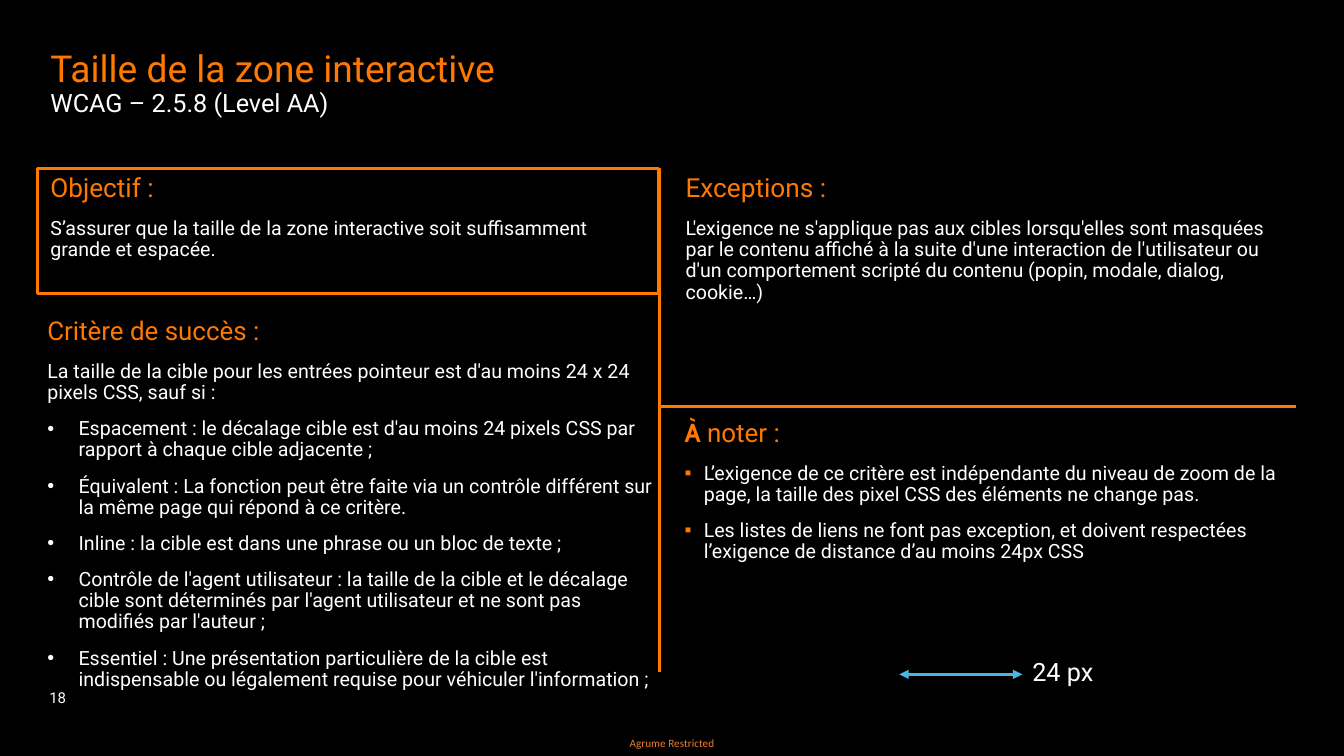
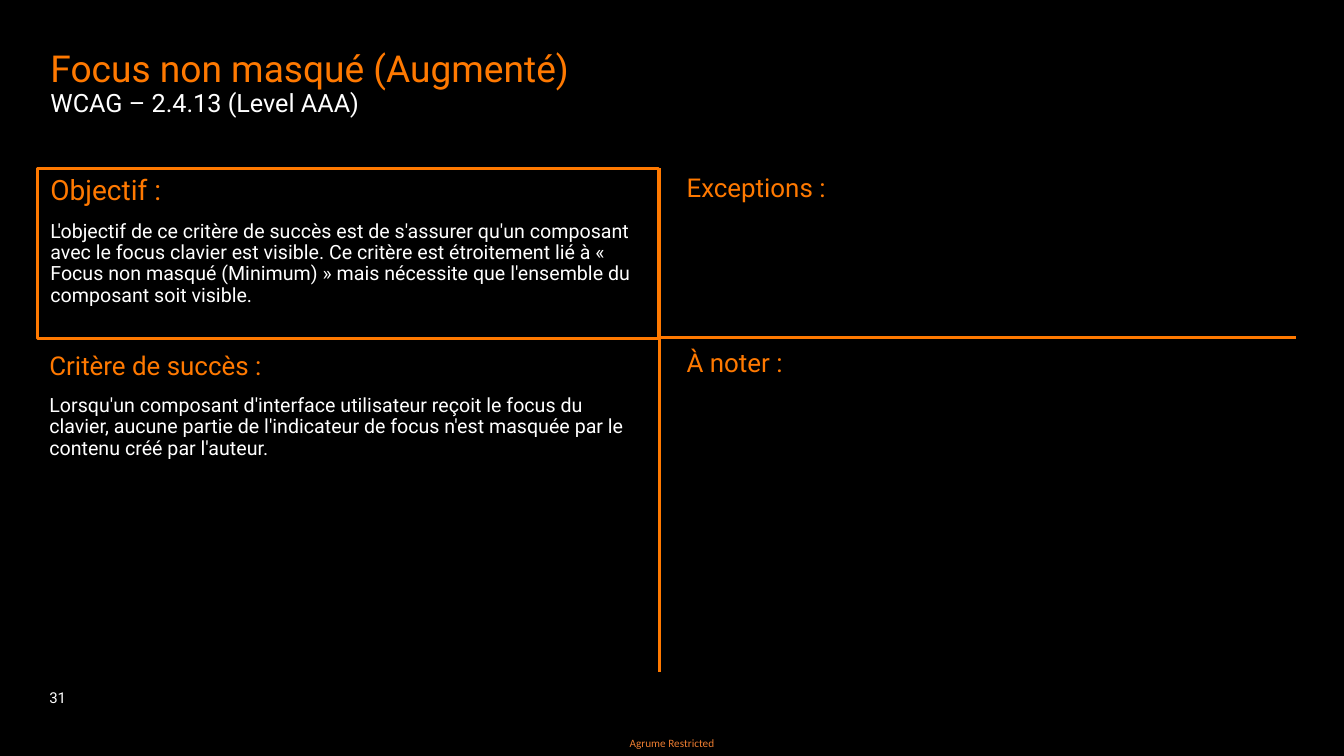
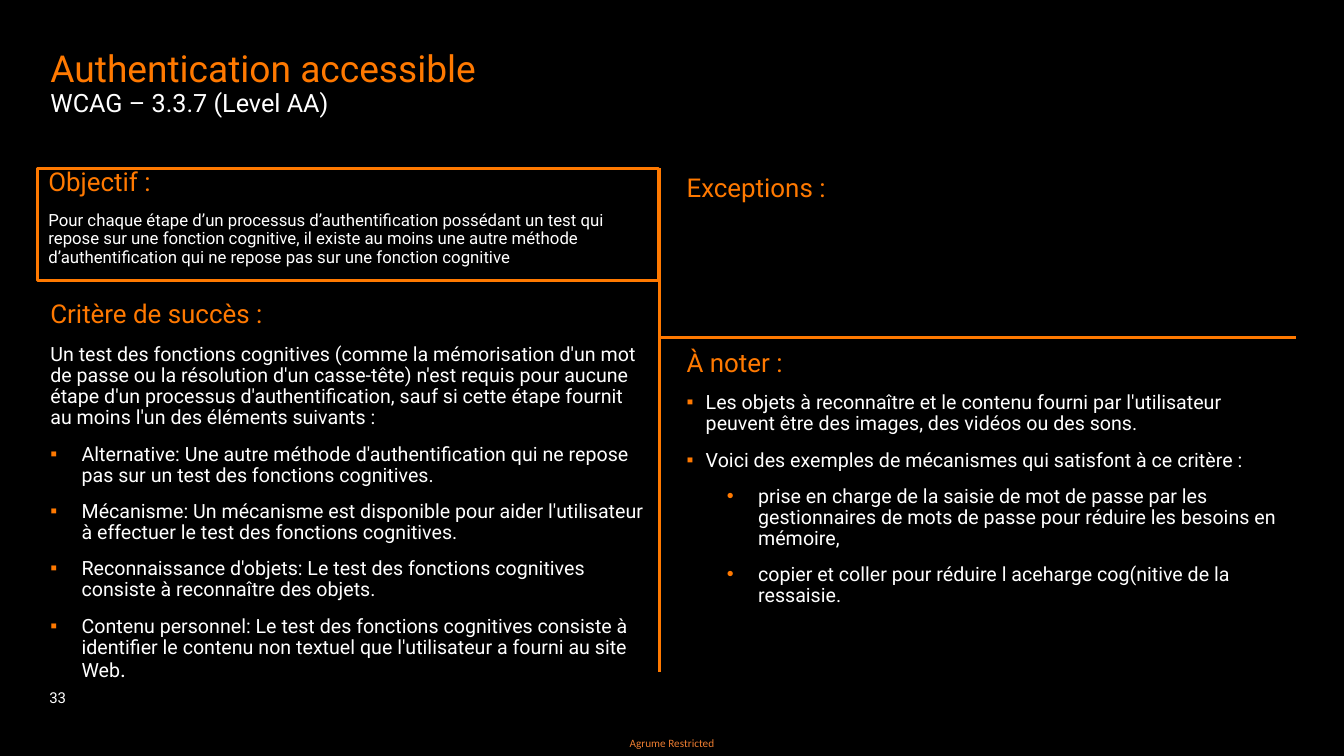
"""Build three slides that present accessibility criteria."""
from dataclasses import dataclass

from lxml.etree import SubElement
from pptx import Presentation
from pptx.dml.color import RGBColor
from pptx.enum.shapes import MSO_CONNECTOR, MSO_SHAPE
from pptx.enum.text import MSO_ANCHOR, MSO_AUTO_SIZE, PP_ALIGN
from pptx.oxml.ns import qn
from pptx.util import Inches, Pt


@dataclass(frozen=True)
class Theme:
    background: str = "000000"
    accent: str = "FF7900"
    text: str = "FFFFFF"
    arrow: str = "4BB4E6"
    footer: str = "ED7D31"
    font: str = "Roboto"
    footer_font: str = "Calibri"
    initial_font: str = "Cabin"
    title: float = 26.5
    subtitle: float = 18
    heading: float = 18.5
    heading_medium: float = 18.7
    heading_large: float = 20
    body: float = 14
    body_small: float = 12
    body_large: float = 16
    number: float = 10.7
    footer_size: float = 8
    space_after: float = 10.7
    line: float = 2.25


theme = Theme()

bullets = {
    "dot": ("•", 0.31, 0.31, theme.text),
    "square": ("▪", 0.19, 0.19, theme.accent),
    "wide square": ("▪", 0.31, 0.31, theme.accent),
    "sub": ("•", 0.71, 0.31, theme.accent),
}

criteria = [
    {
        "title": "Taille de la zone interactive",
        "subtitle": "WCAG – 2.5.8 (Level AA)",
        "number": "18",
        "frame_height": 1.24,
        "divider": 4.03,
        "panels": [
            (0.5, 1.74, 5.93, 1.3, [
                ("heading", [("Objectif :", theme.heading_medium)]),
                ("plain", [("S’assurer que la taille de la zone interactive soit suffisamment grande et espacée.", theme.body)]),
            ]),
            (6.79, 4.17, 5.93, 2.66, [
                ("heading", [("À", theme.heading, theme.initial_font, True), (" noter :", theme.heading)]),
                ("square", [("L’exigence de ce critère est indépendante du niveau de zoom de la page, la taille des pixel CSS des éléments ne change pas.", theme.body)]),
                ("square", [("Les listes de liens ne font pas exception, et doivent respectées l’exigence de distance d’au moins 24px CSS", theme.body)]),
            ]),
            (0.47, 3.16, 6.06, 3.53, [
                ("heading", [("Critère de succès :", theme.heading)]),
                ("plain", [("La taille de la cible pour les entrées pointeur est d'au moins 24 x 24 pixels CSS, sauf si :", theme.body)]),
                ("dot", [("Espacement : le décalage cible est d'au moins 24 pixels CSS par rapport à chaque cible adjacente ;", theme.body)]),
                ("dot", [("Équivalent : La fonction peut être faite via un contrôle différent sur la même page qui répond à ce critère.", theme.body)]),
                ("dot", [("Inline : la cible est dans une phrase ou un bloc de texte ;", theme.body)]),
                ("dot", [("Contrôle de l'agent utilisateur : la taille de la cible et le décalage cible sont déterminés par l'agent utilisateur et ne sont pas modifiés par l'auteur ;", theme.body)]),
                ("dot", [("Essentiel : Une présentation particulière de la cible est indispensable ou légalement requise pour véhiculer l'information ;", theme.body)]),
            ]),
            (6.8, 1.74, 5.93, 2.67, [
                ("heading", [("Exceptions :", theme.heading_medium)]),
                ("plain", [("L'exigence ne s'applique pas aux cibles lorsqu'elles sont masquées par le contenu affiché à la suite d'une interaction de l'utilisateur ou d'un comportement scripté du contenu (popin, modale, dialog, cookie…)", theme.body)]),
            ]),
        ],
    },
    {
        "title": "Focus non masqué (Augmenté)",
        "subtitle": "WCAG – 2.4.13 (Level AAA)",
        "number": "31",
        "frame_height": 1.69,
        "divider": 3.35,
        "panels": [
            (0.5, 1.75, 5.93, 1.26, [
                ("heading", [("Objectif :", theme.heading_large)]),
                ("plain", [("L'objectif de ce critère de succès est de s'assurer qu'un composant avec le focus clavier est visible. Ce critère est étroitement lié à « Focus non masqué (Minimum) » mais nécessite que l'ensemble du composant soit visible.", theme.body)]),
            ]),
            (6.81, 3.47, 5.93, 1.8, [
                ("heading", [("À noter :", theme.heading)]),
            ]),
            (0.49, 3.5, 5.93, 3.53, [
                ("heading", [("Critère de succès :", theme.heading)]),
                ("plain", [("Lorsqu'un composant d'interface utilisateur reçoit le focus du clavier, aucune partie de l'indicateur de focus n'est masquée par le contenu créé par l'auteur.", theme.body)]),
            ]),
            (6.81, 1.74, 5.93, 1.66, [
                ("heading", [("Exceptions :", theme.heading)]),
            ]),
        ],
    },
    {
        "title": "Authentication accessible",
        "subtitle": "WCAG – 3.3.7 (Level AA)",
        "number": "33",
        "frame_height": 1.11,
        "divider": 3.35,
        "panels": [
            (0.48, 1.68, 5.93, 1.26, [
                ("heading", [("Objectif :", theme.heading)]),
                ("plain", [("Pour chaque étape d’un processus d’authentification possédant un test qui repose sur une fonction cognitive, il existe au moins une autre méthode d’authentification qui ne repose pas sur une fonction cognitive", theme.body_small)]),
            ]),
            (6.81, 3.47, 5.93, 1.8, [
                ("heading", [("À noter :", theme.heading)]),
                ("square", [("Les objets à reconnaître et le contenu fourni par l'utilisateur peuvent être des images, des vidéos ou des sons.", theme.body)]),
                ("square", [("Voici des exemples de mécanismes qui satisfont à ce critère :", theme.body)]),
                ("sub", [("prise en charge de la saisie de mot de passe par les gestionnaires de mots de passe pour réduire les besoins en mémoire,", theme.body)]),
                ("sub", [("copier et coller pour réduire l aceharge cog(nitive de la ressaisie.", theme.body)]),
            ]),
            (0.5, 2.99, 5.93, 3.53, [
                ("heading", [("Critère de succès :", theme.heading)]),
                ("plain", [("Un test des fonctions cognitives (comme la mémorisation d'un mot de passe ou la résolution d'un casse-tête) n'est requis pour aucune étape d'un processus d'authentification, sauf si cette étape fournit au moins l'un des éléments suivants :", theme.body)]),
                ("wide square", [("Alternative: Une autre méthode d'authentification qui ne repose pas sur un test des fonctions cognitives.", theme.body)]),
                ("wide square", [("Mécanisme: Un mécanisme est disponible pour aider l'utilisateur à effectuer le test des fonctions cognitives.", theme.body)]),
                ("wide square", [("Reconnaissance d'objets: Le test des fonctions cognitives consiste à reconnaître des objets.", theme.body)]),
                ("wide square", [("Contenu personnel: Le test des fonctions cognitives consiste à identifier le contenu non textuel que l'utilisateur a fourni au site Web", theme.body), (".", theme.body_large)]),
            ]),
            (6.81, 1.74, 5.93, 1.66, [
                ("heading", [("Exceptions :", theme.heading)]),
            ]),
        ],
    },
]


def add_run(paragraph, color, text, size, font=theme.font, bold=False):
    run = paragraph.add_run()
    run.text = text
    run.font.name = font
    run.font.size = Pt(size)
    run.font.bold = bold
    run.font.color.rgb = RGBColor.from_string(color)


def set_frame(shape, anchor=MSO_ANCHOR.TOP):
    frame = shape.text_frame
    frame.word_wrap = True
    frame.auto_size = MSO_AUTO_SIZE.NONE
    frame.vertical_anchor = anchor
    frame.margin_left = frame.margin_right = frame.margin_top = frame.margin_bottom = 0
    return frame


presentation = Presentation()
presentation.slide_width = Inches(13.33)
presentation.slide_height = Inches(7.5)
master_fill = presentation.slide_master.background.fill
master_fill.solid()
master_fill.fore_color.rgb = RGBColor.from_string(theme.background)

for criterion in criteria:
    slide = presentation.slides.add_slide(presentation.slide_layouts[5])
    shapes = slide.shapes

    title = shapes.title
    title.left, title.top, title.width, title.height = map(Inches, (0.5, 0.5, 12.35, 0.91))
    paragraph = set_frame(title).paragraphs[0]
    paragraph.alignment = PP_ALIGN.LEFT
    paragraph.line_spacing = 0.9
    add_run(paragraph, theme.accent, criterion["title"], theme.title)
    paragraph.add_line_break()
    SubElement(paragraph._p[-1], qn("a:rPr"), sz=str(int(theme.title * 100)))
    add_run(paragraph, theme.text, criterion["subtitle"], theme.subtitle)

    number = shapes.add_textbox(*map(Inches, (0.49, 6.52, 0.4, 0.49)))
    paragraph = set_frame(number, MSO_ANCHOR.BOTTOM).paragraphs[0]
    paragraph.line_spacing = 0.85
    paragraph.space_after = Pt(16)
    add_run(paragraph, theme.text, criterion["number"], theme.number)

    footer = shapes.add_textbox(*map(Inches, (6.12, 7.25, 1.09, 0.25)))
    paragraph = set_frame(footer, MSO_ANCHOR.MIDDLE).paragraphs[0]
    paragraph.alignment = PP_ALIGN.CENTER
    add_run(paragraph, theme.footer, "Agrume Restricted", theme.footer_size, theme.footer_font)

    for left, top, width, height, paragraphs in criterion["panels"]:
        panel = shapes.add_textbox(*map(Inches, (left, top, width, height)))
        frame = set_frame(panel)
        for index, (style, runs) in enumerate(paragraphs):
            paragraph = frame.add_paragraph() if index else frame.paragraphs[0]
            paragraph.line_spacing = 0.9
            paragraph.space_after = Pt(theme.space_after)
            if style in bullets:
                character, margin, hanging, bullet_color = bullets[style]
                properties = paragraph._p.get_or_add_pPr()
                properties.set("marL", str(Inches(margin)))
                properties.set("indent", str(-Inches(hanging)))
                SubElement(SubElement(properties, qn("a:buClr")), qn("a:srgbClr"), val=bullet_color)
                SubElement(properties, qn("a:buFont"), typeface="Arial")
                SubElement(properties, qn("a:buChar"), char=character)
            color = theme.accent if style == "heading" else theme.text
            for run in runs:
                add_run(paragraph, color, *run)

    objective_frame = shapes.add_shape(
        MSO_SHAPE.RECTANGLE, *map(Inches, (0.37, 1.67, 6.16, criterion["frame_height"])))
    objective_frame.shadow.inherit = False
    objective_frame.fill.background()
    objective_frame.line.color.rgb = RGBColor.from_string(theme.accent)
    objective_frame.line.width = Pt(theme.line)

    lines = [
        (6.54, 1.67, 6.54, 6.67, theme.accent),
        (12.85, criterion["divider"], 6.54, criterion["divider"], theme.accent),
    ]
    if criterion is criteria[0]:
        lines.append((8.92, 6.69, 10.14, 6.69, theme.arrow))
        distance = shapes.add_textbox(*map(Inches, (10.14, 6.46, 1.99, 0.4)))
        distance.text_frame.word_wrap = True
        add_run(distance.text_frame.paragraphs[0], theme.text, "24 px", theme.subtitle)

    for start_x, start_y, end_x, end_y, color in lines:
        connector = shapes.add_connector(
            MSO_CONNECTOR.STRAIGHT, *map(Inches, (start_x, start_y, end_x, end_y)))
        connector.line.color.rgb = RGBColor.from_string(color)
        connector.line.width = Pt(theme.line)
        if color == theme.arrow:
            outline = connector.line._get_or_add_ln()
            for end in ("a:headEnd", "a:tailEnd"):
                SubElement(outline, qn(end), type="triangle")
        SubElement(connector._element.spPr, qn("a:effectLst"))

presentation.save("out.pptx")
